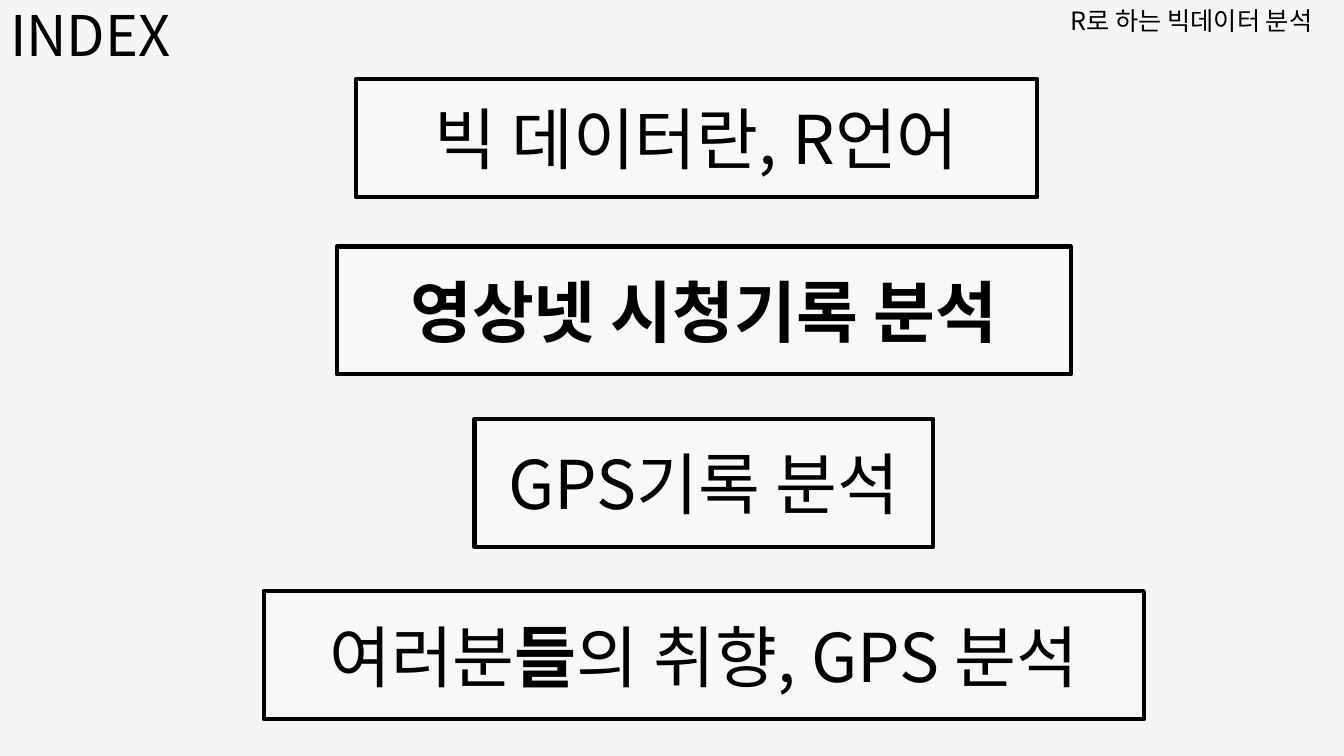
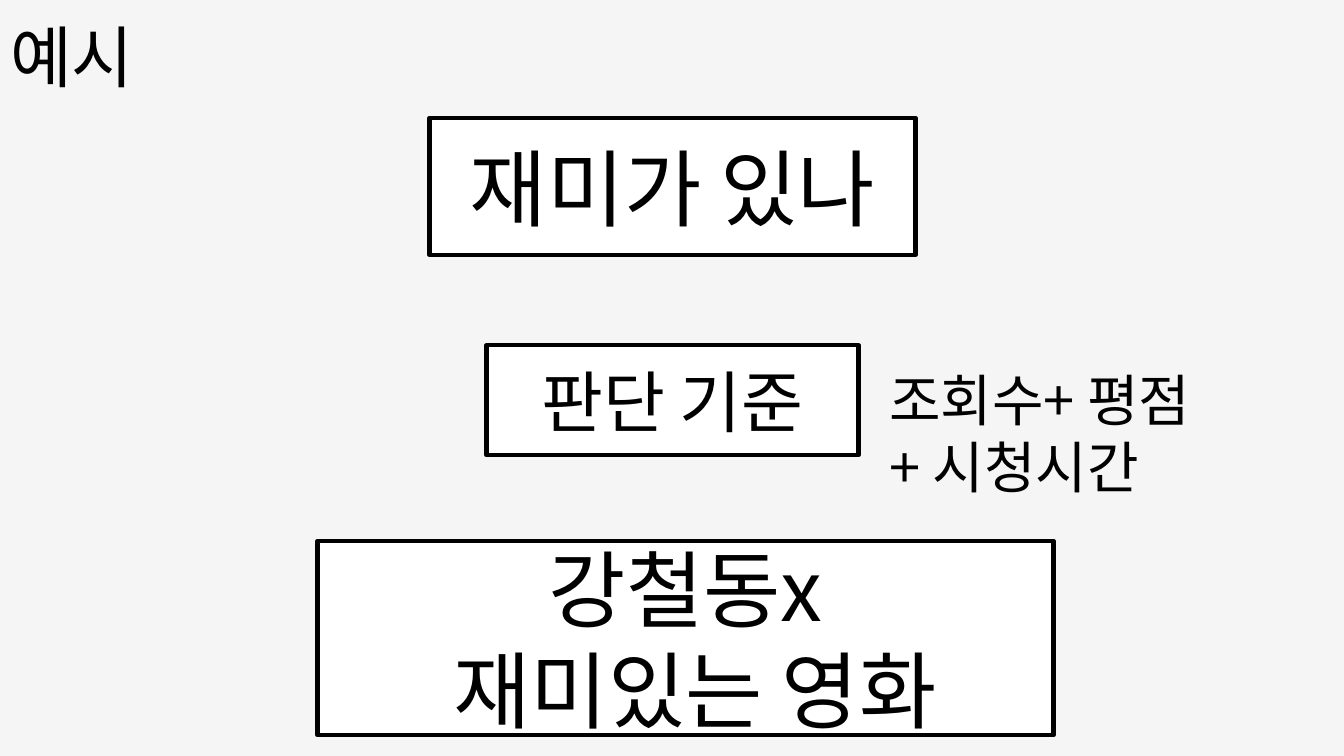
import pptx
import pptx.util
from lxml import etree
from pptx.dml.color import RGBColor
from pptx.enum.shapes import MSO_SHAPE
from pptx.enum.text import MSO_ANCHOR, MSO_AUTO_SIZE, PP_ALIGN
from pptx.oxml.ns import qn

FONT = "Noto Sans CJK KR"
BLACK = RGBColor(0x00, 0x00, 0x00)
WHITE = RGBColor(0xFF, 0xFF, 0xFF)
PAPER = RGBColor(0xF5, 0xF5, 0xF5)
PALE = RGBColor(0xF8, 0xF8, 0xF8)
WIDTH, HEIGHT = 13.33, 7.5

# Each text is a list of paragraphs; a paragraph is a list of (words, bold) runs.
# Index boxes: centre x, width, height, text
INDEX_BOXES = [
    (6.91, 6.76, 1.17, [[("빅 데이터란, R언어", False)]]),
    (6.98, 7.28, 1.27, [[("영상넷 시청기록 분석", True)]]),
    (6.98, 4.55, 1.27, [[("GPS기록 분석", False)]]),
    (6.98, 8.73, 1.27, [[("여러분", False), ("들", True), ("의 취향, GPS 분석", False)]]),
]
FIRST_ROW, ROW_PITCH = 1.37, 1.71
COURSE = [[("R로 하는 빅데이터 분석", False)]]

# Example boxes: centre x, centre y, width, height, size, text
EXAMPLE_BOXES = [
    (6.67, 1.85, 4.82, 1.36, 60, [[("재미가 있나", False)]]),
    (6.67, 3.97, 3.69, 1.09, 48, [[("판단 기준", False)]]),
    (6.8, 6.33, 7.3, 1.93, 60, [[("강철동x", False)], [(" 재미있는 영화", False)]]),
]
CRITERIA = [[("조회수+ 평점", False)], [("+ 시청시간", False)]]


def write(shape, text, size, align=PP_ALIGN.LEFT, anchor=MSO_ANCHOR.TOP, spacing=None):
    tf = shape.text_frame
    tf.word_wrap = True
    tf.auto_size = MSO_AUTO_SIZE.NONE
    tf.vertical_anchor = anchor
    for i, runs in enumerate(text):
        p = tf.add_paragraph() if i else tf.paragraphs[0]
        p.alignment = align
        if spacing:
            p.line_spacing = spacing
        for words, bold in runs:
            r = p.add_run()
            r.text = words
            r.font.size = pptx.util.Pt(size)
            r.font.bold = bold
            r.font.color.rgb = BLACK
            r.font.name = FONT
            ea = etree.SubElement(r.font._element, qn("a:ea"))
            ea.set("typeface", FONT)


def inches(*lengths):
    return [pptx.util.Inches(length) for length in lengths]


def add_slide(prs, title, top, height, size, **fmt):
    s = prs.slides.add_slide(prs.slide_layouts[5])
    s.background.fill.solid()
    s.background.fill.fore_color.rgb = PAPER
    sp = s.shapes.title
    sp.left, sp.top, sp.width, sp.height = inches(0, top, 4, height)
    write(sp, [[(title, False)]], size, **fmt)
    return s


def add_box(s, cx, cy, width, height, size, text, fill):
    at = inches(cx - width / 2, cy - height / 2, width, height)
    sp = s.shapes.add_shape(MSO_SHAPE.RECTANGLE, *at)
    sp.shadow.inherit = False
    sp.fill.solid()
    sp.fill.fore_color.rgb = fill
    sp.line.color.rgb = BLACK
    sp.line.width = pptx.util.Pt(3)
    write(sp, text, size, align=PP_ALIGN.CENTER, anchor=MSO_ANCHOR.MIDDLE)


def add_note(s, left, top, height, size, text):
    """Plain text that runs from left to the slide's right edge."""
    sp = s.shapes.add_textbox(*inches(left, top, WIDTH - left, height))
    write(sp, text, size)


def main():
    prs = pptx.Presentation()
    prs.slide_width, prs.slide_height = inches(WIDTH, HEIGHT)

    s = add_slide(prs, "INDEX", 0, 0.73, 40, anchor=MSO_ANCHOR.BOTTOM, spacing=0.9)
    for row, (cx, width, height, text) in enumerate(INDEX_BOXES):
        add_box(s, cx, FIRST_ROW + row * ROW_PITCH, width, height, 48, text, PALE)
    add_note(s, 10.52, 0, 0.4, 18, COURSE)

    s = add_slide(prs, "예시", 0.1, 0.91, 48)
    for box in EXAMPLE_BOXES:
        add_box(s, *box, WHITE)
    add_note(s, 8.72, 3.58, 1.45, 40, CRITERIA)

    prs.save("out.pptx")


if __name__ == "__main__":
    main()
